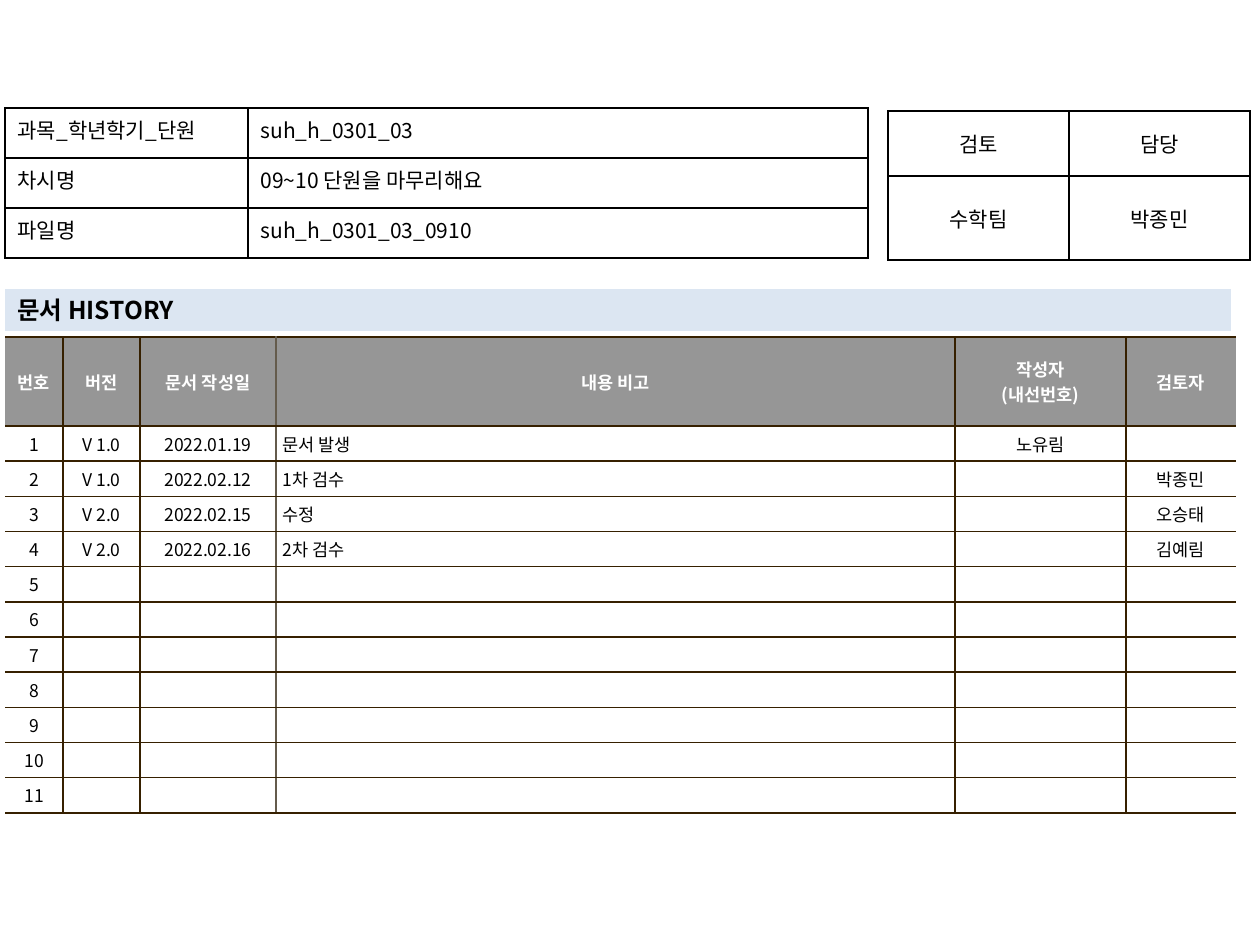
from lxml.etree import SubElement
from pptx import Presentation
from pptx.dml.color import RGBColor
from pptx.enum.shapes import MSO_SHAPE
from pptx.enum.text import MSO_ANCHOR, PP_ALIGN
from pptx.oxml.ns import qn
from pptx.util import Pt

FONT = "Noto Sans CJK KR"
BLACK, WHITE, GRAY, BAND = "000000", "FFFFFF", "969696", "DCE6F2"
BROWN, TAUPE = "362000", "645B4C"
LEFT, MID, JUST = PP_ALIGN.LEFT, PP_ALIGN.CENTER, PP_ALIGN.JUSTIFY

INFO = [
    ("과목_학년학기_단원", "suh_h_0301_03"),
    ("차시명", "09~10 단원을 마무리해요"),
    ("파일명", "suh_h_0301_03_0910"),
]
REVIEW = [("검토", "담당"), ("수학팀", "박종민")]
HEAD = ("번호", "버전", "문서 작성일", "내용 비고", "작성자\n(내선번호)", "검토자")
LOG = [
    ("V 1.0", "2022.01.19", "문서 발생", "노유림", ""),
    ("V 1.0", "2022.02.12", "1차 검수", "", "박종민"),
    ("V 2.0", "2022.02.15", "수정", "", "오승태"),
    ("V 2.0", "2022.02.16", "2차 검수", "", "김예림"),
]
LOG_ROWS = 11
NOTE = 3  # column of the remarks


def px(n):
    return round(n * 914400 / 126)


def rgb(code):
    return RGBColor.from_string(code)


def style(para, size, color, bold=False, align=LEFT):
    para.alignment = align
    font = para.font
    font.name, font.size, font.bold = FONT, Pt(size), bold
    font.color.rgb = rgb(color)


def border(cell, colors):
    # Sides run left, right, top, bottom; None means no line
    props = cell._tc.get_or_add_tcPr()
    for side, color in zip("LRTB", colors):
        line = SubElement(props, qn("a:ln" + side), w=str(Pt(1)))
        if color:
            fill = SubElement(line, qn("a:solidFill"))
            SubElement(fill, qn("a:srgbClr"), val=color)
        else:
            SubElement(line, qn("a:noFill"))


def write(cell, text, size, color, bold, align):
    cell.text = text
    for para in cell.text_frame.paragraphs:
        style(para, size, color, bold, align)
        if not text:
            # Keeps an empty cell as low as its row
            SubElement(para._p, qn("a:endParaRPr"), sz=str(size * 100))


def grid(slide, left, top, cols, rows):
    frame = slide.shapes.add_table(len(rows), len(cols), px(left), px(top),
                                   px(sum(cols)), px(sum(rows)))
    table = frame.table
    table.first_row = table.horz_banding = False
    for col, width in zip(table.columns, cols):
        col.width = px(width)
    for row, height in zip(table.rows, rows):
        row.height = px(height)
    return table


def plain(slide, data, left, top, cols, rows, aligns, anchor):
    table = grid(slide, left, top, cols, rows)
    for r, row in enumerate(data):
        for c, text in enumerate(row):
            cell = table.cell(r, c)
            border(cell, [BLACK] * 4)
            cell.fill.background()
            cell.vertical_anchor = anchor
            write(cell, text, 12, BLACK, False, aligns[c])


def history(slide):
    blank = ("",) * len(LOG[0])
    logs = LOG + [blank] * (LOG_ROWS - len(LOG))
    data = [HEAD] + [(str(n), *log) for n, log in enumerate(logs, 1)]
    # Vertical lines from the open left edge to the open right edge
    lines = [None, BROWN, BROWN, TAUPE, BROWN, BROWN, None]
    table = grid(slide, 5, 337, [58, 77, 136, 679, 171, 110],
                 [89] + [31] * LOG_ROWS)
    for r, row in enumerate(data):
        top = r == 0
        for c, text in enumerate(row):
            cell = table.cell(r, c)
            border(cell, [lines[c], lines[c + 1], BROWN, BROWN])
            cell.fill.solid()
            cell.fill.fore_color.rgb = rgb(GRAY if top else WHITE)
            cell.vertical_anchor = MSO_ANCHOR.MIDDLE
            cell.margin_left = cell.margin_right = px(7)
            cell.margin_top = cell.margin_bottom = px(5)
            align = LEFT if c == NOTE and not top else MID
            write(cell, text, 10, WHITE if top else BLACK, top, align)


def band(slide, text):
    bar = slide.shapes.add_shape(MSO_SHAPE.RECTANGLE, px(5), px(289),
                                 px(1226), px(42))
    bar.shadow.inherit = False
    bar.fill.solid()
    bar.fill.fore_color.rgb = rgb(BAND)
    bar.line.fill.background()
    frame = bar.text_frame
    frame.word_wrap = True
    frame.vertical_anchor = MSO_ANCHOR.MIDDLE
    frame.text = text
    style(frame.paragraphs[0], 14, BLACK, bold=True)


def main():
    deck = Presentation()
    deck.slide_width, deck.slide_height = px(1260), px(945)
    slide = deck.slides.add_slide(deck.slide_layouts[6])

    # Change log
    history(slide)
    # Reviewers
    plain(slide, REVIEW, 888, 111, [181, 181], [65, 84], [MID, MID],
          MSO_ANCHOR.MIDDLE)
    # Section heading
    band(slide, "문서 HISTORY")
    # Document details
    plain(slide, INFO, 5, 108, [243, 620], [50] * 3, [JUST, LEFT],
          MSO_ANCHOR.TOP)

    deck.save("out.pptx")


if __name__ == "__main__":
    main()
